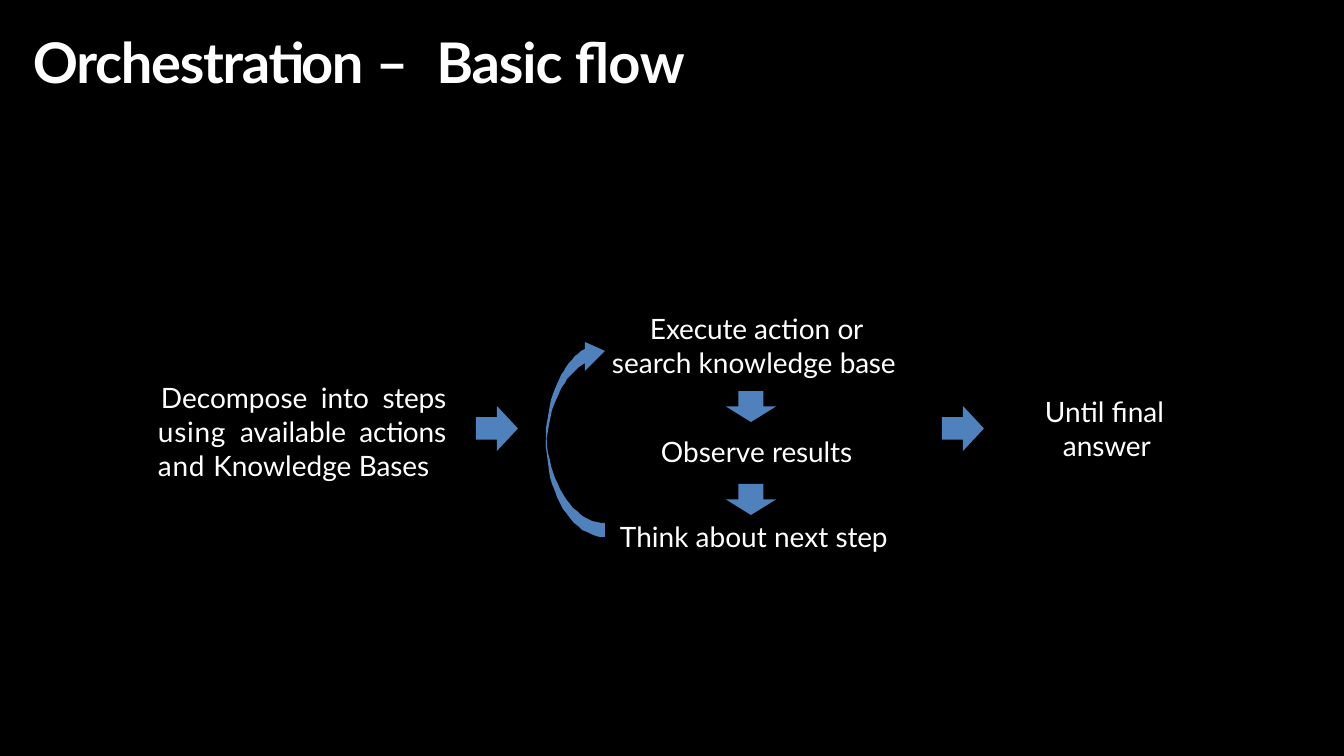
import math

import pptx
import pptx.dml.color
import pptx.enum.shapes
import pptx.enum.text
import pptx.util

PX = 12192000 / 1344
BLACK = pptx.dml.color.RGBColor(0x00, 0x00, 0x00)
WHITE = pptx.dml.color.RGBColor(0xFF, 0xFF, 0xFF)
BLUE = pptx.dml.color.RGBColor(0x4F, 0x81, 0xBD)
LEFT = pptx.enum.text.PP_ALIGN.LEFT
JUSTIFY = pptx.enum.text.PP_ALIGN.JUSTIFY
RIGHT_ARROW = pptx.enum.shapes.MSO_SHAPE.RIGHT_ARROW
DOWN_ARROW = pptx.enum.shapes.MSO_SHAPE.DOWN_ARROW


def emu(px):
    return round(px * PX)


def paint_blue(shape):
    shape.shadow.inherit = False
    shape.fill.solid()
    shape.fill.fore_color.rgb = BLUE
    shape.line.fill.background()


deck = pptx.Presentation()
deck.slide_width = emu(1344)
deck.slide_height = emu(756)
slide = deck.slides.add_slide(deck.slide_layouts[6])
slide.background.fill.solid()
slide.background.fill.fore_color.rgb = BLACK

# Box, size in points, alignment, left margin, first-line indent,
# then runs with letter spacing in hundredths of a point
texts = [
    ((32, 26, 1296, 70), 40, LEFT, 1, 0,
     [("Orchestration ", -90), ("– ", 520), ("Basic ", -80), ("flow", -20)]),
    ((157, 379, 289, 104), 20, JUSTIFY, 1, 3,
     [("Decompose into ", 0), ("steps ", -20), ("using ", 50), ("available ", 0),
      ("actions ", -10), ("and ", 50), ("Knowledge ", 0), ("Bases", -10)]),
    ((611, 310, 297, 70), 20, LEFT, 1, 38,
     [("Execute ", -10), ("action ", 0), ("or ", -20), ("search knowledge ", 0),
      ("base", -20)]),
    ((660, 432, 200, 36), 20, LEFT, 1, 0, [("Observe ", 0), ("results", -10)]),
    ((619, 517, 280, 36), 20, LEFT, 1, 0,
     [("Think about next ", 0), ("step", -20)]),
    ((1044, 393, 129, 70), 20, LEFT, 19, -18,
     [("Until ", 0), ("final answer", -10)]),
]
for box, size, alignment, margin, indent, runs in texts:
    frame = slide.shapes.add_textbox(*map(emu, box)).text_frame
    frame.word_wrap = True
    frame.margin_left = frame.margin_right = frame.margin_bottom = 0
    frame.margin_top = emu(2)
    paragraph = frame.paragraphs[0]
    paragraph.alignment = alignment
    properties = paragraph._p.get_or_add_pPr()
    properties.set("marL", str(emu(margin)))
    properties.set("indent", str(emu(indent)))
    for words, spacing in runs:
        run = paragraph.add_run()
        run.text = words
        run.font.name = "Lato"
        run.font.size = pptx.util.Pt(size)
        run.font.bold = size == 40
        run.font.color.rgb = WHITE
        run._r.get_or_add_rPr().set("spc", str(spacing))

# Loop back: each half lies between two equal ellipses, one shifted vertically
LOOP_X, LOOP_Y, RADIUS_X, RADIUS_Y, BAND = 605, 440, 59, 97, 14
ARROWHEAD = [(585, 371), (605, 351), (585, 342)]
for direction, end, inner_start, head in ((-1, 70, 4, ARROWHEAD), (1, 90, 8, [])):
    outline = []
    for shift, first, last in ((0, 0, end), (-direction * BAND, end, inner_start)):
        for step in range(21):
            angle = math.radians(first + (last - first) * step / 20)
            outline.append((LOOP_X - RADIUS_X * math.cos(angle),
                            LOOP_Y + shift + direction * RADIUS_Y * math.sin(angle)))
    outline[21:21] = head[::-1]
    builder = slide.shapes.build_freeform(*outline[0], scale=PX)
    builder.add_line_segments(outline[1:], close=True)
    paint_blue(builder.convert_to_shape())

for kind, left, top, width, height in (
    (RIGHT_ARROW, 476, 406, 42, 45),
    (RIGHT_ARROW, 942, 406, 42, 45),
    (DOWN_ARROW, 726, 391, 50, 31),
    (DOWN_ARROW, 726, 484, 50, 31),
):
    paint_blue(slide.shapes.add_shape(
        kind, emu(left), emu(top), emu(width), emu(height)))

deck.save("out.pptx")
